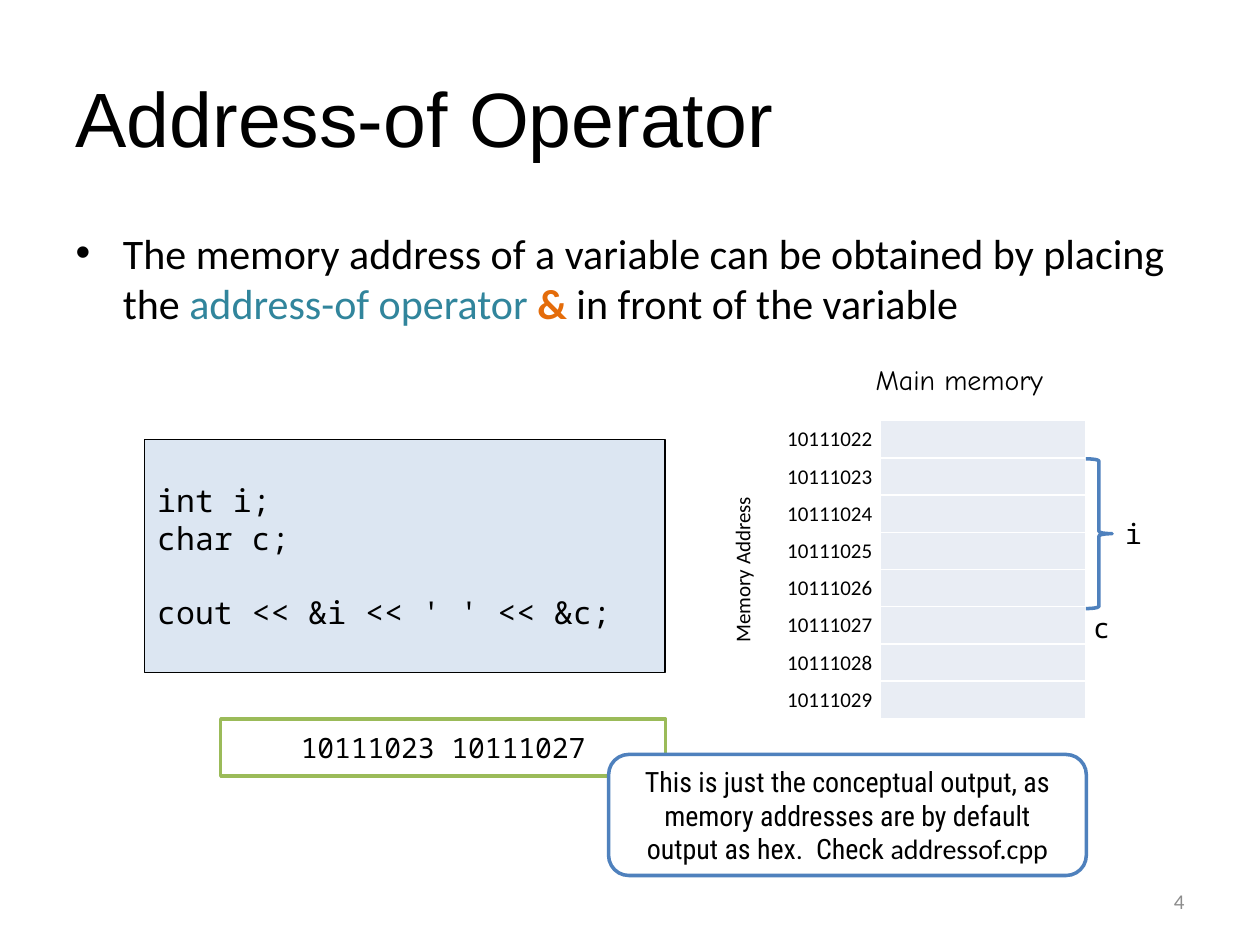
from dataclasses import dataclass

from lxml import etree
from pptx import Presentation
from pptx.dml.color import RGBColor
from pptx.enum.shapes import MSO_SHAPE
from pptx.enum.text import MSO_ANCHOR, MSO_AUTO_SIZE, PP_ALIGN
from pptx.oxml.ns import qn
from pptx.util import Cm, Pt

LEFT, CENTER, RIGHT = PP_ALIGN.LEFT, PP_ALIGN.CENTER, PP_ALIGN.RIGHT
TOP, MIDDLE = MSO_ANCHOR.TOP, MSO_ANCHOR.MIDDLE
RECT, ROUNDED, BRACE = MSO_SHAPE.RECTANGLE, MSO_SHAPE.ROUNDED_RECTANGLE, MSO_SHAPE.RIGHT_BRACE
GROW = MSO_AUTO_SIZE.SHAPE_TO_FIT_TEXT

COLORS = {
    "text": "000000", "paper": "FFFFFF", "term": "31859C", "symbol": "E46C0A",
    "number": "8C8C8C", "code": "DCE6F2", "cell": "E9EDF4",
    "blue": "4F81BD", "green": "9BBB59",
}
SANS, MONO, NOTE = "Calibri", "Noto Sans Mono", "Roboto Condensed"

ROW_H = 0.75
FIRST_ADDRESS, CELLS = 10111022, 8


@dataclass
class Box:
    left: float
    top: float
    width: float
    height: float

    def lengths(self) -> list:
        return [Cm(v) for v in (self.left, self.top, self.width, self.height)]


@dataclass
class Run:
    text: str
    size: float
    font: str = SANS
    color: str = "text"
    bold: bool = False


def rgb(name: str) -> RGBColor:
    return RGBColor.from_string(COLORS[name])


def add_runs(p, runs: list[Run], align=LEFT) -> None:
    p.alignment = align
    for run in runs:
        r = p.add_run()
        r.text = run.text
        r.font.size = Pt(run.size)
        r.font.name = run.font
        r.font.bold = run.bold
        r.font.color.rgb = rgb(run.color)


def fill_placeholder(sp, box: Box, runs: list[Run]) -> None:
    sp.left, sp.top, sp.width, sp.height = box.lengths()
    add_runs(sp.text_frame.paragraphs[0], runs)


def add_label(shapes, box: Box, run: Run, align=LEFT, anchor=TOP, grow=True):
    tf = shapes.add_textbox(*box.lengths()).text_frame
    tf.word_wrap = not grow
    if grow:
        tf.auto_size = GROW
    tf.vertical_anchor = anchor
    add_runs(tf.paragraphs[0], [run], align)
    return tf


def add_panel(shapes, kind, box: Box, fill: str | None, line: str, width: float):
    sp = shapes.add_shape(kind, *box.lengths())
    sp.shadow.inherit = False
    if fill:
        sp.fill.solid()
        sp.fill.fore_color.rgb = rgb(fill)
    else:
        sp.fill.background()
    sp.line.color.rgb = rgb(line)
    sp.line.width = Pt(width)
    tf = sp.text_frame
    tf.word_wrap = True
    tf.vertical_anchor = MIDDLE
    return tf


def style_cell(cell) -> None:
    tc_pr = cell._tc.get_or_add_tcPr()
    for side in ("lnL", "lnR", "lnT", "lnB"):
        ln = etree.SubElement(tc_pr, qn(f"a:{side}"), w=str(Pt(1)))
        solid = etree.SubElement(ln, qn("a:solidFill"))
        etree.SubElement(solid, qn("a:srgbClr"), val=COLORS["paper"])
    cell.fill.solid()
    cell.fill.fore_color.rgb = rgb("cell")
    # A small end mark keeps the empty row from growing
    p = cell.text_frame.paragraphs[0]
    etree.SubElement(p._p, qn("a:endParaRPr"), sz="1000")


def add_memory(shapes) -> None:
    box = Box(17.75, 8.48, 4.14, ROW_H * CELLS)
    table = shapes.add_table(CELLS, 1, *box.lengths()).table
    table.first_row = table.horz_banding = False
    for row in table.rows:
        row.height = Cm(ROW_H)
        style_cell(row.cells[0])
    add_label(shapes, Box(17.4, 7.19, 4.93, 0.94), Run("Main memory", 16, "Comic Neue"))

    # Address column
    group = shapes.add_group_shape().shapes
    for i in range(CELLS):
        add_label(group, Box(15.62, 8.46 + i * ROW_H, 2.26, 0.76),
                  Run(str(FIRST_ADDRESS + i), 12))
    tf = add_label(group, Box(14.58, 10.03, 1.02, 3.18), Run("Memory Address", 12))
    tf._txBody.bodyPr.set("vert", "vert270")

    # Variables beside their cells
    add_panel(shapes, BRACE, Box(21.89, 9.25, 0.53, 3.02), None, "blue", 2)
    for name, left, top in (("i", 22.43, 10.29), ("c", 21.79, 12.19)):
        add_label(shapes, Box(left, top, 0.86, 0.94), Run(name, 16, MONO))


def add_code(shapes) -> None:
    tf = add_panel(shapes, RECT, Box(2.92, 8.86, 10.49, 4.7), "code", "text", 0.75)
    for i, text in enumerate(("int i;", "char c;", "cout << &i << ' ' << &c;")):
        p = tf.paragraphs[0] if i == 0 else tf.add_paragraph()
        add_runs(p, [Run(text, 18, MONO)])
    p.space_before = Pt(21)


def main() -> None:
    prs = Presentation()
    prs.slide_width, prs.slide_height = Cm(25.4), Cm(19.05)
    s = prs.slides.add_slide(prs.slide_layouts[1])
    shapes = s.shapes

    # Title, bullet and slide number
    fill_placeholder(shapes.title, Box(1.27, 0.76, 22.86, 3.18),
                     [Run("Address-of Operator", 44, "Arial")])
    fill_placeholder(s.placeholders[1], Box(1.27, 4.45, 22.86, 12.57), [
        Run("The memory address of a variable can be obtained by placing the ", 24),
        Run("address-of operator ", 24, color="term"),
        Run("&", 24, color="symbol", bold=True),
        Run(" in front of the variable", 24),
    ])
    add_label(shapes, Box(18.21, 17.65, 5.92, 1.02), Run("4", 12, color="number"),
              RIGHT, MIDDLE, grow=False)

    add_code(shapes)
    add_memory(shapes)

    # Program output and the note on it
    tf = add_panel(shapes, RECT, Box(4.45, 14.5, 8.97, 1.14), "paper", "green", 2)
    add_runs(tf.paragraphs[0], [Run("10111023 10111027", 16, MONO)], CENTER)
    tf = add_panel(shapes, ROUNDED, Box(12.27, 15.21, 9.63, 2.44), "paper", "blue", 2)
    add_runs(tf.paragraphs[0], [
        Run("This is just the conceptual output, as memory addresses are by default "
            "output as hex.  Check ", 16, NOTE),
        Run("addressof.cpp", 16),
    ], CENTER)

    prs.save("out.pptx")


if __name__ == "__main__":
    main()
